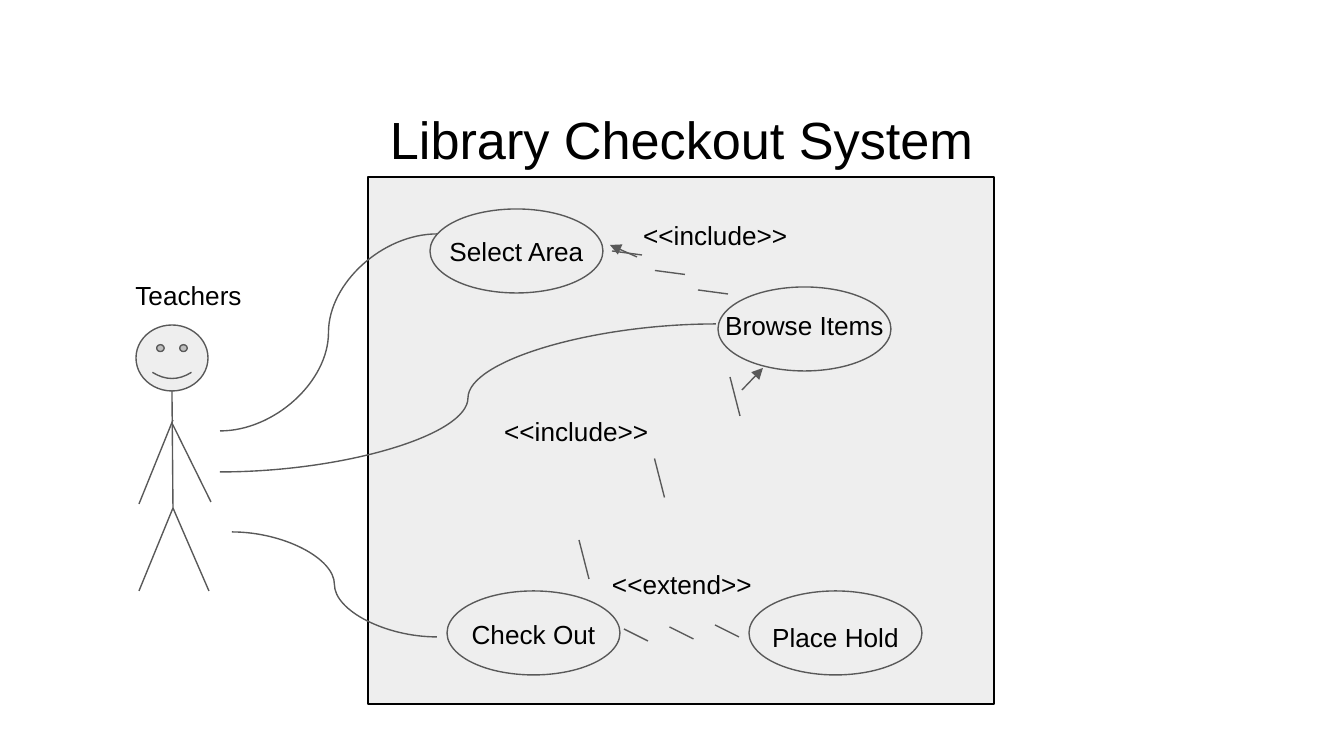
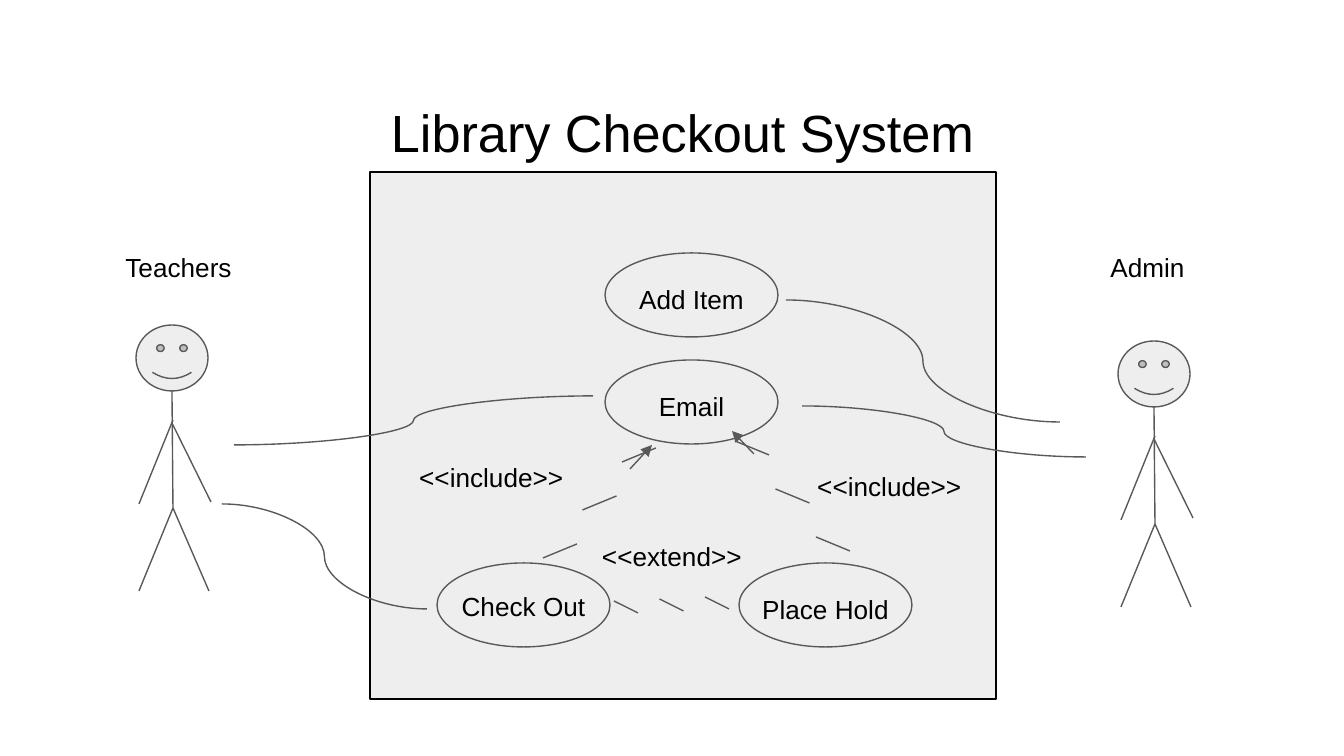
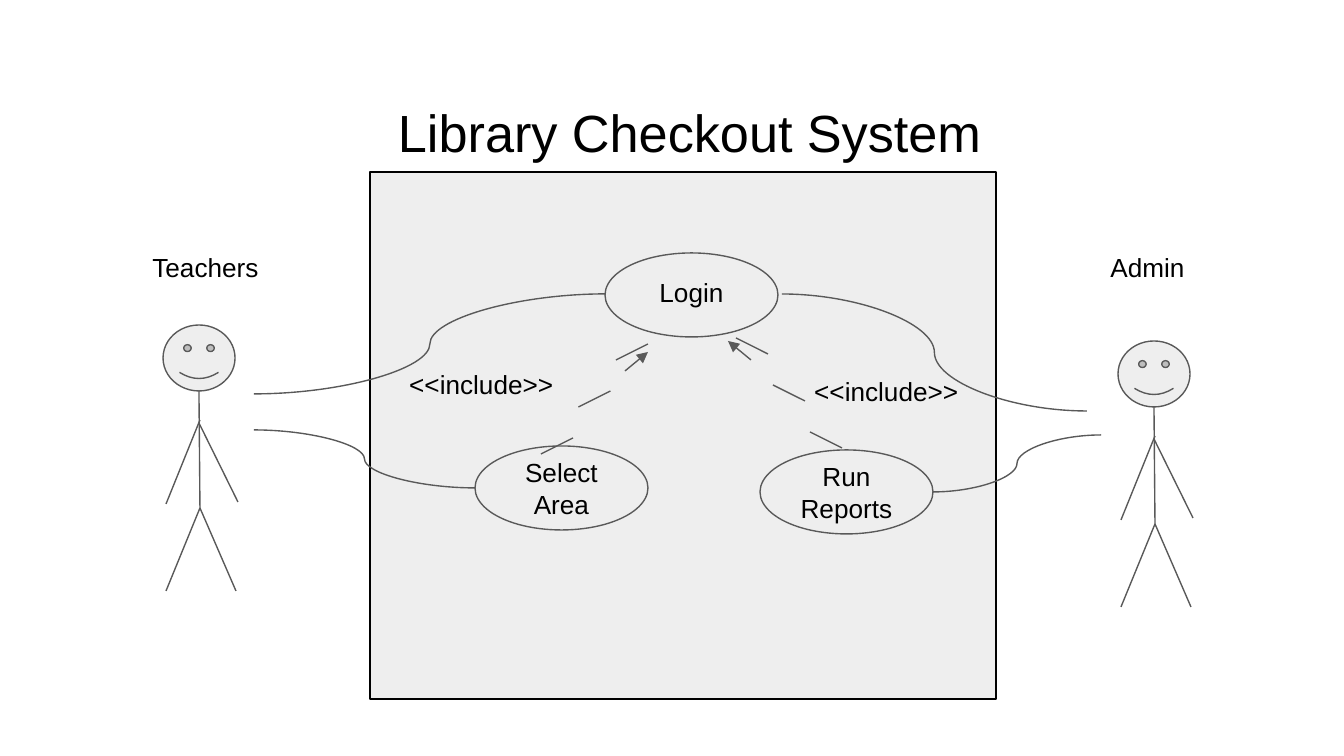
from lxml import etree
from pptx import Presentation
from pptx import util as u
from pptx.dml.color import RGBColor
from pptx.enum import shapes, text
from pptx.oxml import ns

SCALE = 914400 / 134.4  # EMU in one pixel
COLORS = {"ink": "000000", "line": "595959", "panel": "EEEEEE"}
FONT = "Arial"
OVAL_W, OVAL_H = 173, 84
LABEL_W, LABEL_H = 796, 66
# Neck, arms and legs, measured from the top left of the head
LIMBS = [((36, 66), (37, 183)), ((36, 98), (75, 177)), ((37, 95), (3, 179)),
         ((37, 183), (3, 266)), ((37, 183), (73, 266))]


def px(*lengths):
    return [u.Emu(round(length * SCALE)) for length in lengths]


def color(name):
    return RGBColor.from_string(COLORS[name])


class UseCaseDeck:
    def __init__(self):
        self.prs = Presentation()
        self.prs.slide_width, self.prs.slide_height = px(1344, 756)
        self.slide = None

    def new_slide(self, frame, title):
        """Start a slide with the system boundary and its heading."""
        self.slide = self.prs.slides.add_slide(self.prs.slide_layouts[6])
        self.shape(shapes.MSO_SHAPE.RECTANGLE, *frame, 626, 527, line="ink")
        self.label("Library Checkout System", *title, 1253, 85, size=28)

    # Basic elements
    def shape(self, kind, left, top, width, height, line="line"):
        shape = self.slide.shapes.add_shape(kind, *px(left, top, width, height))
        shape.shadow.inherit = False
        shape.fill.solid()
        shape.fill.fore_color.rgb = color("panel")
        shape.line.color.rgb = color(line)
        shape.line.width = u.Pt(0.75)
        return shape

    def set_words(self, shape, words, size=14, middle=False, centered=True):
        frame = shape.text_frame
        frame.text = words
        frame.word_wrap = True
        frame.margin_left = frame.margin_right = u.Inches(0.1)
        frame.margin_top = frame.margin_bottom = u.Inches(0.1)
        frame.vertical_anchor = (text.MSO_ANCHOR.MIDDLE if middle
                                 else text.MSO_ANCHOR.TOP)
        paragraph = frame.paragraphs[0]
        paragraph.alignment = (text.PP_ALIGN.CENTER if centered
                               else text.PP_ALIGN.LEFT)
        font = paragraph.runs[0].font
        font.name, font.size = FONT, u.Pt(size)
        font.color.rgb = color("ink")

    def label(self, words, left, top, width, height, **style):
        box = self.slide.shapes.add_textbox(*px(left, top, width, height))
        self.set_words(box, words, **style)

    def line(self, start, end, kind=shapes.MSO_CONNECTOR.STRAIGHT, arrow=False):
        link = self.slide.shapes.add_connector(kind, *px(*start, *end))
        link.line.color.rgb = color("line")
        link.line.width = u.Pt(0.75)
        properties = link._element.spPr
        if arrow:
            etree.SubElement(properties.get_or_add_ln(), ns.qn("a:tailEnd"),
                             type="triangle")
        etree.SubElement(properties, ns.qn("a:effectLst"))

    def curve(self, start, end):
        self.line(start, end, shapes.MSO_CONNECTOR.CURVE)

    def arrow(self, start, end):
        self.line(start, end, arrow=True)

    def dashes(self, first, last, stroke):
        """Three equal strokes, evenly spaced from first to last."""
        for i in range(3):
            x, y = (a + (b - a) * i / 2 for a, b in zip(first, last))
            self.line((x, y), (x + stroke[0], y + stroke[1]))

    # Diagram parts
    def use_case(self, name, left, top, label_dy):
        """Ellipse with a wide label centred over it."""
        self.shape(shapes.MSO_SHAPE.OVAL, left, top, OVAL_W, OVAL_H)
        self.label(name, left + (OVAL_W - LABEL_W) / 2, top + label_dy,
                   LABEL_W, LABEL_H, middle=True)

    def wrapped_use_case(self, name, left, top):
        """Ellipse that holds its own text on two lines."""
        oval = self.shape(shapes.MSO_SHAPE.OVAL, left, top, OVAL_W, OVAL_H)
        self.set_words(oval, name, middle=True)

    def include(self, left, top):
        self.label("<<include>>", left, top, 184, 55, centered=False)

    def actor(self, name, head, label):
        left, top = head
        self.shape(shapes.MSO_SHAPE.SMILEY_FACE, left, top, 72, 66)
        for (x1, y1), (x2, y2) in LIMBS:
            self.line((left + x1, top + y1), (left + x2, top + y2))
        self.label(name, *label, 253, 93)

    def check_out_and_hold(self, left, top):
        """Check Out, extended by Place Hold, with its link to the actor."""
        self.use_case("Check Out", left, top, 10)
        self.use_case("Place Hold", left + 302, top, 13)
        self.dashes((left + 292, top + 46), (left + 201, top + 50), (-24, -12))
        self.curve((left - 215, top - 59), (left - 10, top + 46))
        self.label("<<extend>>", left + 127, top - 32, 216, 51, middle=True)


deck = UseCaseDeck()

# Slide 1: browsing and checking out
deck.new_slide(frame=(368, 177), title=(55, 94))
deck.actor("Teachers", (136, 325), (62, 266))
deck.use_case("Select Area", 430, 209, 9)
deck.use_case("Browse Items", 718, 287, 5)
deck.check_out_and_hold(447, 591)
deck.curve((220, 431), (437, 234))
deck.curve((220, 472), (716, 324))
deck.dashes((589, 579), (740, 416), (-10, -39))
deck.dashes((728, 294), (642, 255), (-30, -4))
deck.arrow((637, 257), (610, 245))
deck.arrow((742, 390), (763, 368))
deck.include(630, 206)
deck.include(491, 402)

# Slide 2: email and adding items
deck.new_slide(frame=(370, 172), title=(56, 87))
deck.actor("Teachers", (136, 325), (52, 238))
deck.actor("Admin", (1118, 341), (1021, 238))
deck.check_out_and_hold(437, 563)
deck.use_case("Email", 605, 360, 13)
deck.use_case("Add Item", 605, 253, 13)
deck.curve((234, 445), (593, 396))
deck.curve((802, 406), (1086, 457))
deck.curve((786, 300), (1060, 422))
deck.dashes((656, 448), (577, 544), (-34, 14))
deck.dashes((735, 441), (816, 537), (34, 14))
deck.arrow((630, 469), (652, 445))
deck.arrow((754, 454), (732, 431))
deck.include(406, 448)
deck.include(804, 457)

# Slide 3: login
deck.new_slide(frame=(370, 172), title=(63, 87))
deck.actor("Teachers", (163, 325), (79, 238))
deck.actor("Admin", (1118, 341), (1021, 238))
deck.use_case("Login", 605, 253, 6)
deck.wrapped_use_case("Select Area", 475, 446)
deck.wrapped_use_case("Run Reports", 760, 450)
deck.curve((254, 394), (606, 294))
deck.curve((254, 430), (475, 488))
deck.curve((782, 294), (1087, 411))
deck.curve((933, 492), (1101, 435))
deck.dashes((648, 344), (573, 438), (-32, 16))
deck.dashes((736, 338), (810, 432), (32, 16))
deck.arrow((625, 371), (648, 352))
deck.arrow((751, 360), (728, 341))
deck.include(396, 355)
deck.include(801, 362)

deck.prs.save("out.pptx")
